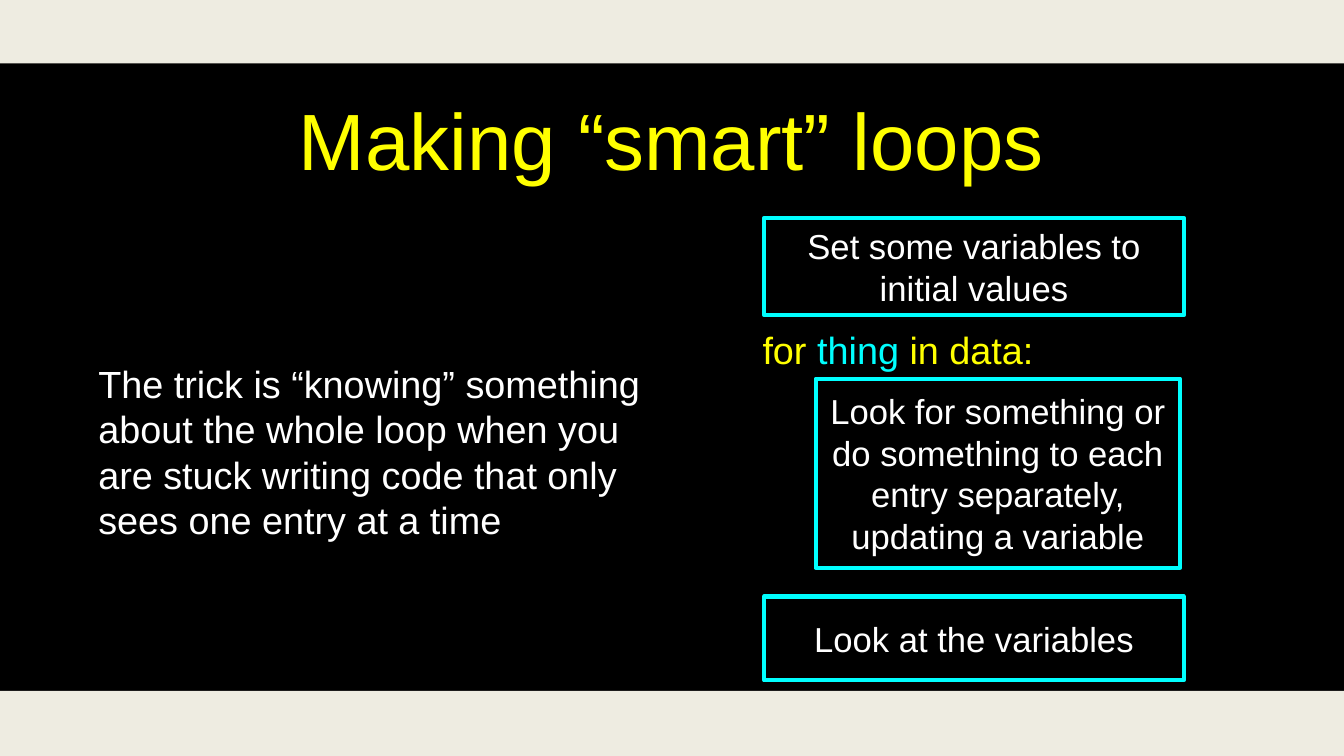
from pptx import Presentation
from pptx.dml.color import RGBColor
from pptx.enum.shapes import MSO_SHAPE
from pptx.enum.text import MSO_ANCHOR, PP_ALIGN
from pptx.util import Emu, Pt

PX = 9144  # 100 px to the inch
WIDTH, HEIGHT = 1778, 1000
FONT = "Arial"
COLORS = {
    "page": "000000",
    "band": "EEECE1",
    "accent": "FFFF00",
    "body": "FFFFFF",
    "frame": "00FFFF",
}


def px(value):
    return Emu(value * PX)


def color(name):
    return RGBColor.from_string(COLORS[name])


def set_text(shape, spans, size, align=PP_ALIGN.CENTER, inset=0):
    """Fill a shape with one paragraph of (text, color name) spans."""
    frame = shape.text_frame
    frame.word_wrap = True
    frame.vertical_anchor = MSO_ANCHOR.MIDDLE
    frame.margin_left = frame.margin_right = px(inset)
    frame.margin_top = frame.margin_bottom = px(inset)
    para = frame.paragraphs[0]
    para.alignment = align
    for text, name in spans:
        span = para.add_run()
        span.text = text
        span.font.name = FONT
        span.font.size = Pt(size)
        span.font.color.rgb = color(name)


def add_text(page, box, spans, size, **options):
    shape = page.shapes.add_textbox(*map(px, box))
    set_text(shape, spans, size, **options)


def add_rectangle(page, box):
    shape = page.shapes.add_shape(MSO_SHAPE.RECTANGLE, *map(px, box))
    shape.shadow.inherit = False
    return shape


def add_band(page, box):
    band = add_rectangle(page, box)
    band.fill.solid()
    band.fill.fore_color.rgb = color("band")
    band.line.fill.background()


def add_step(page, box, text):
    step = add_rectangle(page, box)
    step.fill.background()
    step.line.color.rgb = color("frame")
    step.line.width = Pt(4)
    set_text(step, [(text, "body")], 33)


def add_title(page, box):
    add_text(page, box, [("Making “smart” loops", "accent")], 76, inset=4)


def add_explanation(page, box):
    text = ("The trick is “knowing” something about the whole loop when you "
            "are stuck writing code that only sees one entry at a time")
    add_text(page, box, [(text, "body")], 36, align=PP_ALIGN.LEFT, inset=4)


def add_loop_diagram(page, box):
    left, top, width, height = box
    last_height = 111

    # Before the loop
    add_step(page, (left, top, width, 129),
             "Set some variables to initial values")

    # Loop body, indented under its header
    add_step(page, (left + 68, top + 213, 482, 250),
             "Look for something or do something to each entry separately, "
             "updating a variable")
    header = [("for ", "accent"), ("thing", "frame"), (" in data:", "accent")]
    add_text(page, (left - 9, top + 140, 372, 68), header, 36)

    # After the loop
    add_step(page, (left, top + height - last_height, width, last_height),
             "Look at the variables")


def main():
    deck = Presentation()
    deck.slide_width, deck.slide_height = px(WIDTH), px(HEIGHT)
    page = deck.slides.add_slide(deck.slide_layouts[6])
    page.background.fill.solid()
    page.background.fill.fore_color.rgb = color("page")

    # Bands along the top and bottom edges
    add_band(page, (0, 0, WIDTH, 84))
    add_band(page, (0, 914, WIDTH, 86))

    # Title over two columns
    add_title(page, (126, 89, 1524, 188))
    add_explanation(page, (126, 285, 749, 624))
    add_loop_diagram(page, (1011, 288, 555, 612))

    deck.save("out.pptx")


if __name__ == "__main__":
    main()
